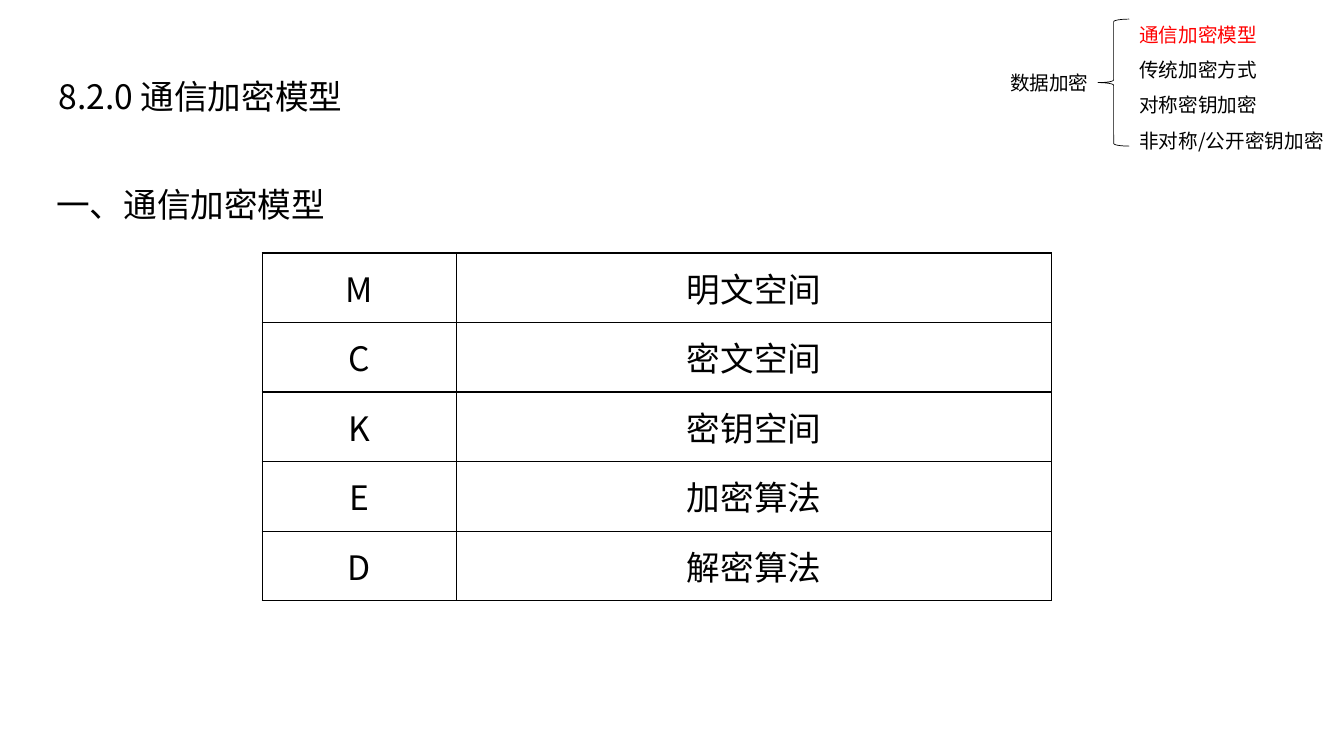
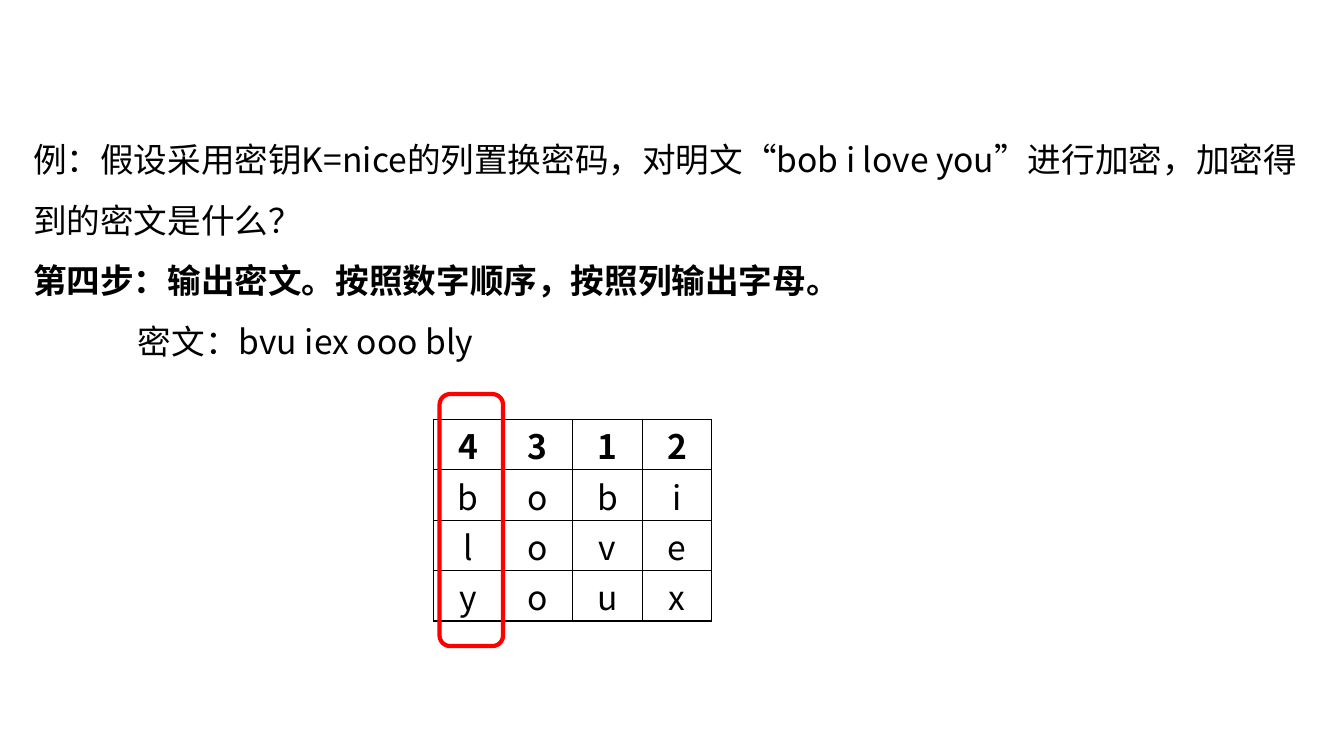
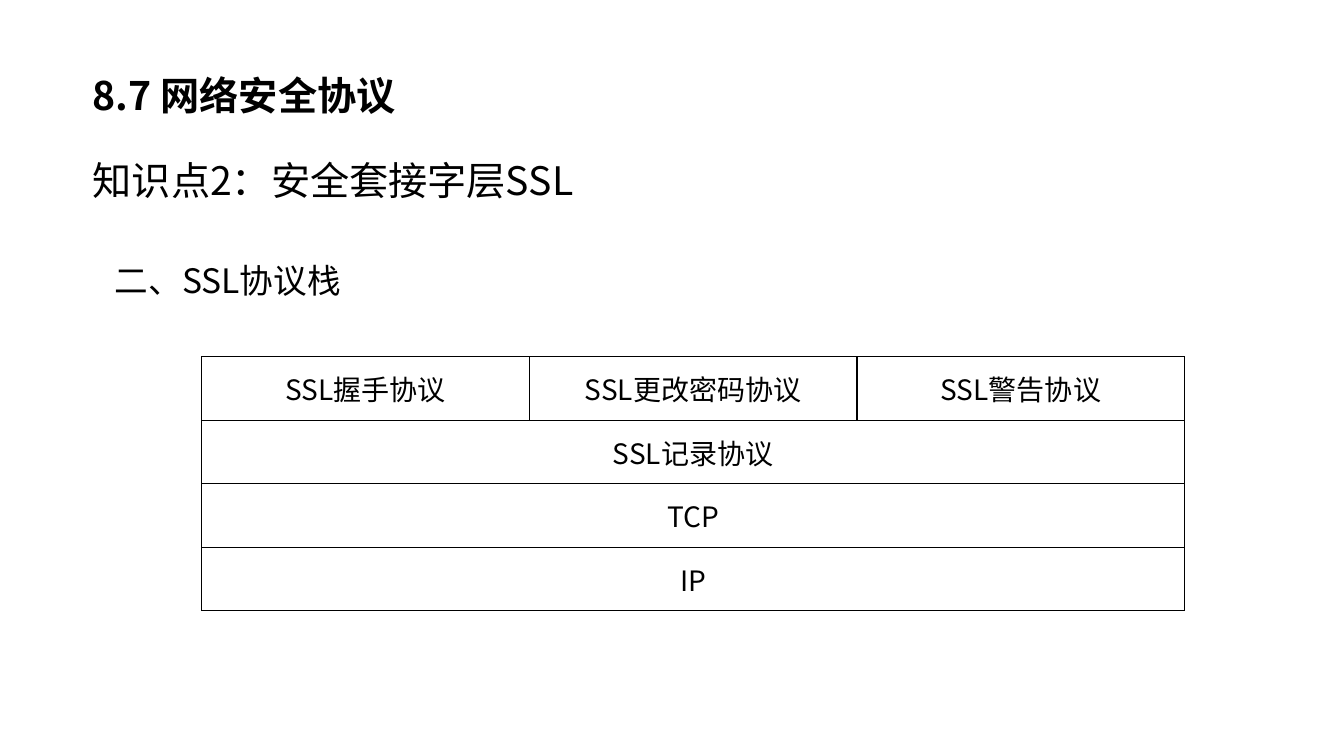
import pptx
import pptx.util
import pptx.dml.color
import pptx.enum.lang
import pptx.enum.shapes
import pptx.enum.text
import pptx.oxml
import pptx.oxml.ns
from dataclasses import dataclass

Inches = pptx.util.Inches
Pt = pptx.util.Pt
ALIGN = pptx.enum.text.PP_ALIGN
ANCHOR = pptx.enum.text.MSO_ANCHOR
SHAPE = pptx.enum.shapes.MSO_SHAPE


@dataclass(frozen=True)
class Theme:
    font: str = "Noto Sans CJK SC"
    ink: str = "000000"
    accent: str = "FF0000"
    heading: int = 28
    body: int = 24
    cell: int = 20
    outline: int = 14
    spacing: float = 1.5
    border: int = 1
    title_insets: tuple = (0.12, 0.06)
    text_insets: tuple = (0.1, 0.05)


THEME = Theme()

# Content
OUTLINE_ROOT = "数据加密"
OUTLINE_TOPICS = ["通信加密模型", "传统加密方式", "对称密钥加密", "非对称/公开密钥加密"]
CURRENT_TOPIC = 0

MODEL_TITLE = "8.2.0 通信加密模型"
MODEL_SECTION = "一、通信加密模型"
MODEL_SYMBOLS = [
    ("M", "明文空间"),
    ("C", "密文空间"),
    ("K", "密钥空间"),
    ("E", "加密算法"),
    ("D", "解密算法"),
]

CIPHER_EXAMPLE = [
    "例：假设采用密钥K=nice的列置换密码，对明文“bob i love you”进行加密，加密得到的密文是什么？",
    "第四步：输出密文。按照数字顺序，按照列输出字母。",
    "密文：bvu iex ooo bly",
]
CIPHER_GRID = ["4312", "bobi", "love", "youx"]

SSL_TITLE = "8.7 网络安全协议"
SSL_TOPIC = "知识点2：安全套接字层SSL"
SSL_SECTION = "二、SSL协议栈"
SSL_STACK = [
    ("SSL握手协议", "SSL更改密码协议", "SSL警告协议"),
    ("SSL记录协议",),
    ("TCP",),
    ("IP",),
]


# Shared helpers
def rgb(color):
    return pptx.dml.color.RGBColor.from_string(color)


def style(paragraph, size, color=THEME.ink, bold=False, align=ALIGN.LEFT, spacing=None):
    paragraph.alignment = align
    if spacing:
        paragraph.line_spacing = spacing
    for run in paragraph.runs:
        font = run.font
        font.size, font.bold, font.name = Pt(size), bold, THEME.font
        font.color.rgb = rgb(color)
        font.language_id = pptx.enum.lang.MSO_LANGUAGE_ID.SIMPLIFIED_CHINESE
        east_asian = pptx.oxml.parse_xml(
            f'<a:ea {pptx.oxml.ns.nsdecls("a")} typeface="{THEME.font}"/>')
        run.font._element.find(pptx.oxml.ns.qn("a:latin")).addnext(east_asian)


def add_text(slide, box, lines, size, insets=THEME.text_insets, anchor=ANCHOR.TOP, **look):
    frame = slide.shapes.add_textbox(*map(Inches, box)).text_frame
    frame.word_wrap = True
    frame.vertical_anchor = anchor
    frame.margin_left = frame.margin_right = Inches(insets[0])
    frame.margin_top = frame.margin_bottom = Inches(insets[1])
    frame.text = "\n".join(lines)
    for paragraph in frame.paragraphs:
        style(paragraph, size, **look)
    return frame.paragraphs


def add_outline_shape(slide, kind, box, color, width):
    shape = slide.shapes.add_shape(kind, *map(Inches, box))
    shape.shadow.inherit = False
    shape.fill.background()
    shape.line.color.rgb = rgb(color)
    shape.line.width = Pt(width)
    return shape


def add_borders(cell):
    properties = cell._tc.get_or_add_tcPr()
    for side in "LRTB":
        properties.append(pptx.oxml.parse_xml(
            f'<a:ln{side} {pptx.oxml.ns.nsdecls("a")} w="{Pt(THEME.border)}">'
            f'<a:solidFill><a:srgbClr val="{THEME.ink}"/></a:solidFill></a:ln{side}>'))
    cell.fill.background()


def add_grid(slide, left, top, widths, row_height, rows, size, bold_rows=(), margins=None):
    """Draw a ruled table; a row with a single entry spans every column."""
    table = slide.shapes.add_table(
        len(rows), len(widths), Inches(left), Inches(top),
        Inches(sum(widths)), Inches(row_height * len(rows))).table
    table.first_row = table.horz_banding = False
    for column, width in zip(table.columns, widths):
        column.width = Inches(width)
    for r, entries in enumerate(rows):
        table.rows[r].height = Inches(row_height)
        for c in range(len(widths)):
            add_borders(table.cell(r, c))
        if len(entries) == 1:
            table.cell(r, 0).merge(table.cell(r, len(widths) - 1))
        for c, entry in enumerate(entries):
            cell = table.cell(r, c)
            cell.text = entry
            cell.vertical_anchor = ANCHOR.MIDDLE
            if margins:
                cell.margin_top, cell.margin_bottom = map(Inches, margins)
            style(cell.text_frame.paragraphs[0], size, bold=r in bold_rows, align=ALIGN.CENTER)


# Slides
def build_model(slide):
    add_grid(slide, 2.6, 2.51, [1.93, 5.9], 0.69, MODEL_SYMBOLS, THEME.body)
    add_text(slide, (0.46, 0.69, 3.62, 0.53), [MODEL_TITLE], THEME.body, THEME.title_insets)
    add_text(slide, (0.46, 1.58, 10.94, 0.64), [MODEL_SECTION], THEME.body,
             spacing=THEME.spacing)

    # Chapter outline in the corner
    topics = add_text(slide, (11.2, 0.06, 2.63, 1.51), OUTLINE_TOPICS, THEME.outline,
                      align=ALIGN.JUSTIFY, spacing=THEME.spacing)
    topics[CURRENT_TOPIC].runs[0].font.color.rgb = rgb(THEME.accent)
    add_outline_shape(slide, SHAPE.LEFT_BRACE, (10.89, 0.19, 0.31, 1.26), THEME.ink, 0.5)
    add_text(slide, (9.92, 0.65, 2.6, 0.34), [OUTLINE_ROOT], THEME.outline,
             align=ALIGN.JUSTIFY)


def build_cipher(slide):
    question, step, answer = add_text(
        slide, (0.23, 1.13, 12.81, 2.52), CIPHER_EXAMPLE, THEME.body, spacing=THEME.spacing)
    step.runs[0].font.bold = True
    answer._p.get_or_add_pPr().set("marL", str(Inches(1.04)))

    # Letter grid with the column being read
    add_grid(slide, 4.3, 4.16, [0.69] * 4, 0.5, CIPHER_GRID, THEME.body,
             bold_rows=(0,), margins=(0.01, 0))
    add_outline_shape(slide, SHAPE.ROUNDED_RECTANGLE, (4.36, 3.91, 0.63, 2.5),
                      THEME.accent, 3)


def build_ssl(slide):
    add_text(slide, (0.8, 0.65, 9.65, 0.59), [SSL_TITLE], THEME.heading,
             THEME.title_insets, bold=True)
    add_text(slide, (0.8, 1.15, 12.16, 1.04), [SSL_TOPIC], THEME.heading,
             THEME.title_insets, ANCHOR.MIDDLE, spacing=THEME.spacing)
    add_text(slide, (1.04, 2.33, 7.49, 0.71), [SSL_SECTION], THEME.body,
             spacing=THEME.spacing)
    add_grid(slide, 2, 3.54, [3.25] * 3, 0.63, SSL_STACK, THEME.cell)


def main():
    deck = pptx.Presentation()
    deck.slide_width, deck.slide_height = Inches(13.33), Inches(7.5)
    for build in (build_model, build_cipher, build_ssl):
        build(deck.slides.add_slide(deck.slide_layouts[6]))
    deck.save("out.pptx")


if __name__ == "__main__":
    main()
